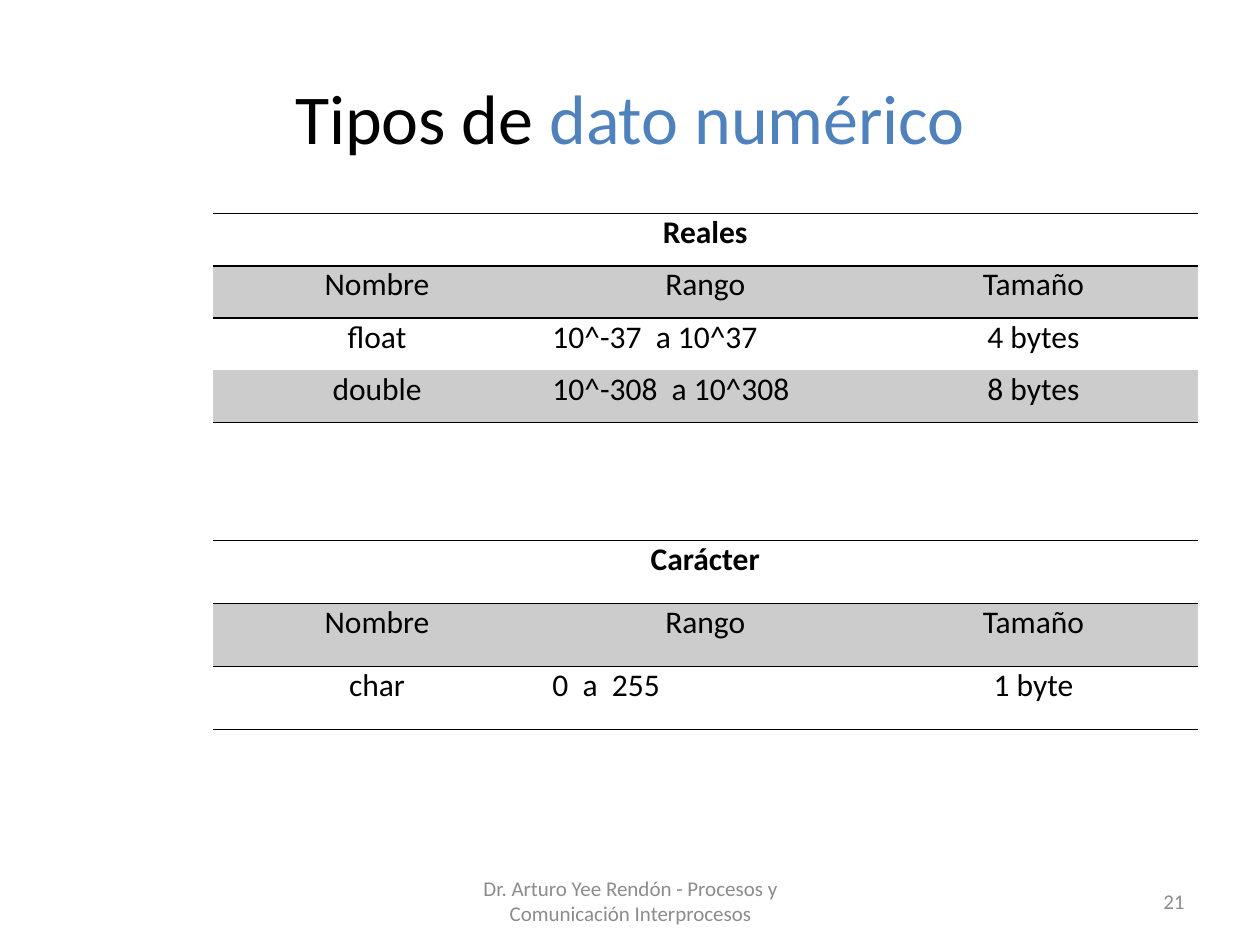
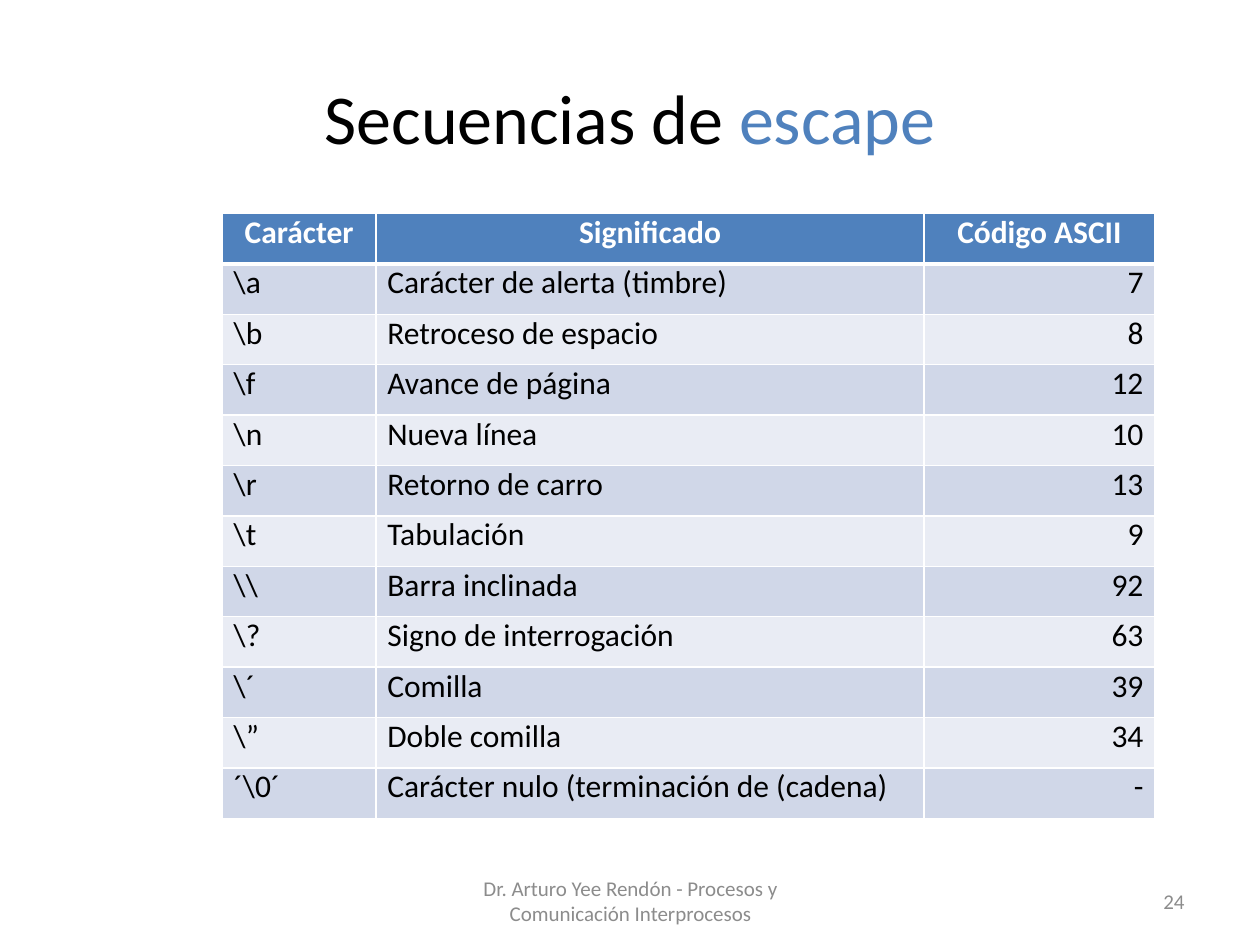
from dataclasses import dataclass

from pptx import Presentation
from pptx.dml.color import RGBColor
from pptx.enum.text import MSO_ANCHOR, PP_ALIGN
from pptx.oxml.ns import qn
from pptx.oxml.xmlchemy import OxmlElement
from pptx.slide import Slide
from pptx.table import _Cell
from pptx.util import Emu, Pt

PX_PER_INCH = 200
FONT = "Calibri"
NO_STYLE_NO_GRID = "{2D5ABB26-0587-4C30-8999-92F81FD0307C}"
FOOTER = "Dr. Arturo Yee Rendón - Procesos y Comunicación Interprocesos"
COLORS = {
    "text": "000000",
    "accent": "4F81BD",
    "footer": "8C8C8C",
    "white": "FFFFFF",
    "gray_band": "CCCCCC",
    "dark_band": "D0D7E8",
    "light_band": "E9ECF4",
}
LEFT, CENTER, RIGHT = PP_ALIGN.LEFT, PP_ALIGN.CENTER, PP_ALIGN.RIGHT


@dataclass(frozen=True)
class Box:
    left: int
    top: int
    width: int
    height: int

    def emu(self) -> tuple[Emu, ...]:
        return tuple(px(v) for v in (self.left, self.top, self.width, self.height))


@dataclass(frozen=True)
class TableStyle:
    header_fill: str | None
    header_text: str
    bands: tuple[str | None, str | None]
    line: str
    header_line_width: int
    inner_line_width: int
    vertical_lines: bool
    centered_rows: int


@dataclass(frozen=True)
class TableSpec:
    left: int
    top: int
    column_widths: tuple[int, ...]
    row_height: int
    alignments: tuple[PP_ALIGN, ...]
    style: TableStyle
    rows: tuple[tuple[str, ...], ...]


@dataclass(frozen=True)
class SlideSpec:
    title: str
    highlight: str
    number: int
    tables: tuple[TableSpec, ...]


TITLE_BOX = Box(100, 118, 1800, 134)
FOOTER_BOX = Box(684, 1390, 634, 80)
NUMBER_BOX = Box(1434, 1390, 466, 80)

RULED = TableStyle(None, "text", ("gray_band", None), "text", 1, 0, False, 2)
GRID = TableStyle("accent", "white", ("dark_band", "light_band"), "white", 3, 1, True, 1)
TYPE_COLUMNS = (521, 521, 521)
TYPE_ALIGNMENTS = (CENTER, LEFT, CENTER)
TYPE_HEADINGS = ("Nombre", "Rango", "Tamaño")

SLIDES = (
    SlideSpec("Tipos de ", "dato numérico", 21, (
        TableSpec(338, 339, TYPE_COLUMNS, 83, TYPE_ALIGNMENTS, RULED, (
            ("Reales",),
            TYPE_HEADINGS,
            ("float", "10^-37  a 10^37", "4 bytes"),
            ("double", "10^-308  a 10^308", "8 bytes"),
        )),
        TableSpec(338, 858, TYPE_COLUMNS, 100, TYPE_ALIGNMENTS, RULED, (
            ("Carácter",),
            TYPE_HEADINGS,
            ("char", "0  a  255", "1 byte"),
        )),
    )),
    SlideSpec("Secuencias de ", "escape", 24, (
        TableSpec(353, 339, (244, 870, 366), 80, (LEFT, LEFT, RIGHT), GRID, (
            ("Carácter", "Significado", "Código ASCII"),
            ("\\a", "Carácter de alerta (timbre)", "7"),
            ("\\b", "Retroceso de espacio", "8"),
            ("\\f", "Avance de página", "12"),
            ("\\n", "Nueva línea", "10"),
            ("\\r", "Retorno de carro", "13"),
            ("\\t", "Tabulación", "9"),
            ("\\\\", "Barra inclinada", "92"),
            ("\\?", "Signo de interrogación", "63"),
            ("\\´", "Comilla", "39"),
            ("\\”", "Doble comilla", "34"),
            ("´\\0´", "Carácter nulo (terminación de (cadena)", "-"),
        )),
    )),
)


def px(value: int) -> Emu:
    return Emu(value * 914400 // PX_PER_INCH)


def color(name: str) -> RGBColor:
    return RGBColor.from_string(COLORS[name])


def format_paragraph(paragraph, size: int, color_name: str, alignment: PP_ALIGN, bold: bool = False) -> None:
    paragraph.alignment = alignment
    paragraph.font.name = FONT
    paragraph.font.size = Pt(size)
    paragraph.font.bold = bold
    paragraph.font.color.rgb = color(color_name)


def add_title(slide: Slide, title: str, highlight: str) -> None:
    shape = slide.shapes.title
    shape.left, shape.top, shape.width, shape.height = TITLE_BOX.emu()
    frame = shape.text_frame
    frame.vertical_anchor = MSO_ANCHOR.MIDDLE
    frame.margin_left = frame.margin_right = frame.margin_top = frame.margin_bottom = 0
    paragraph = frame.paragraphs[0]
    format_paragraph(paragraph, 40, "text", CENTER)
    paragraph.add_run().text = title
    run = paragraph.add_run()
    run.text = highlight
    run.font.color.rgb = color("accent")


def add_footer_text(slide: Slide, box: Box, text: str, alignment: PP_ALIGN) -> None:
    frame = slide.shapes.add_textbox(*box.emu()).text_frame
    frame.word_wrap = True
    frame.vertical_anchor = MSO_ANCHOR.MIDDLE
    frame.text = text
    format_paragraph(frame.paragraphs[0], 12, "footer", alignment)


def add_border(cell: _Cell, side: str, width: int, color_name: str) -> None:
    line = OxmlElement(f"a:ln{side}")
    line.set("w", str(Pt(width)))
    fill = OxmlElement("a:solidFill")
    value = OxmlElement("a:srgbClr")
    value.set("val", COLORS[color_name])
    fill.append(value)
    line.append(fill)
    cell._tc.get_or_add_tcPr().append(line)


def edge_width(style: TableStyle, edge: int, row_count: int) -> int:
    if edge == 1:
        return style.header_line_width
    return 1 if edge in (0, row_count) else style.inner_line_width


def style_cell(cell: _Cell, style: TableStyle, row: int, row_count: int) -> None:
    widths = {
        "L": int(style.vertical_lines),
        "R": int(style.vertical_lines),
        "T": edge_width(style, row, row_count),
        "B": edge_width(style, row + 1, row_count),
    }
    for side, width in widths.items():
        if width:
            add_border(cell, side, width, style.line)
    fill_name = style.bands[(row - 1) % 2] if row else style.header_fill
    if fill_name:
        cell.fill.solid()
        cell.fill.fore_color.rgb = color(fill_name)
    else:
        cell.fill.background()
    cell.margin_left = cell.margin_right = px(18)
    cell.margin_top = cell.margin_bottom = 0


def add_data_table(slide: Slide, spec: TableSpec) -> None:
    row_count, column_count = len(spec.rows), len(spec.column_widths)
    box = Box(spec.left, spec.top, sum(spec.column_widths), spec.row_height * row_count)
    graphic_frame = slide.shapes.add_table(row_count, column_count, *box.emu())
    table = graphic_frame.table
    table.horz_banding = table.first_row = False
    graphic_frame._element.find(f".//{qn('a:tableStyleId')}").text = NO_STYLE_NO_GRID
    for column, width in zip(table.columns, spec.column_widths):
        column.width = px(width)
    for row, texts in enumerate(spec.rows):
        table.rows[row].height = px(spec.row_height)
        for cell in table.rows[row].cells:
            style_cell(cell, spec.style, row, row_count)
        if len(texts) == 1:
            table.cell(row, 0).merge(table.cell(row, column_count - 1))
        for column, text in enumerate(texts):
            cell = table.cell(row, column)
            cell.text = text
            alignment = CENTER if row < spec.style.centered_rows else spec.alignments[column]
            color_name = "text" if row else spec.style.header_text
            format_paragraph(cell.text_frame.paragraphs[0], 18, color_name, alignment, row == 0)


def main() -> None:
    presentation = Presentation()
    presentation.slide_width, presentation.slide_height = px(2000), px(1500)
    for spec in SLIDES:
        slide = presentation.slides.add_slide(presentation.slide_layouts[5])
        add_title(slide, spec.title, spec.highlight)
        for table_spec in spec.tables:
            add_data_table(slide, table_spec)
        add_footer_text(slide, FOOTER_BOX, FOOTER, CENTER)
        add_footer_text(slide, NUMBER_BOX, str(spec.number), RIGHT)
    presentation.save("out.pptx")


if __name__ == "__main__":
    main()
